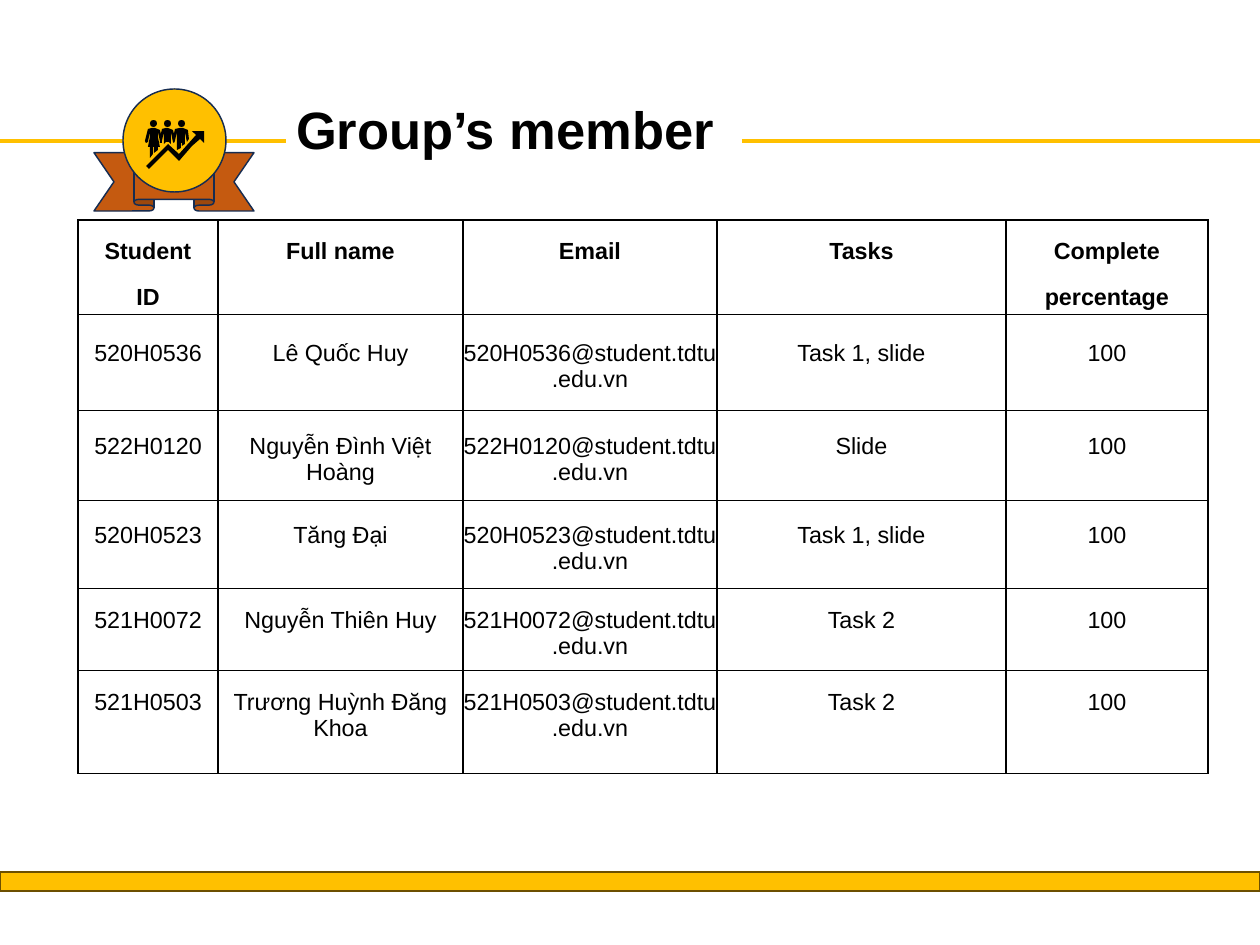
from lxml.etree import SubElement
from pptx import Presentation
from pptx.dml.color import RGBColor
from pptx.enum.shapes import MSO_CONNECTOR, MSO_SHAPE
from pptx.enum.text import PP_ALIGN
from pptx.oxml.ns import qn
from pptx.util import Pt

PX = 914400 // 105
WIDE, HIGH = 1260, 945
GOLD, RUST, NAVY, BROWN, BLACK = "FFC000", "C55A10", "162C51", "6C4F00", "000000"

TITLE = "Group’s member"
HEADS = ["Student\nID", "Full name", "Email", "Tasks", "Complete\npercentage"]
MEMBERS = [
    ("520H0536", "Lê Quốc Huy", "Task 1, slide"),
    ("522H0120", "Nguyễn Đình Việt Hoàng", "Slide"),
    ("520H0523", "Tăng Đại", "Task 1, slide"),
    ("521H0072", "Nguyễn Thiên Huy", "Task 2"),
    ("521H0503", "Trương Huỳnh Đăng Khoa", "Task 2"),
]
DOMAIN = "student.tdtu.edu.vn"
COLS = [140, 245, 254, 289, 202]
ROWS = [94, 96, 90, 88, 82, 103]
PADS = [19, 26, 23, 22, 19, 19]  # space above the text in each row

RULES = [(0, 286), (742, WIDE)]
RULE_Y = 141
PEOPLE = [
    (189, 139), (188, 130), (183, 128), (180, 128), (175, 129), (174, 134),
    (173, 130), (168, 128), (166, 128), (162, 129), (161, 134), (160, 130),
    (155, 128), (152, 128), (148, 129), (145, 141), (146, 143), (148, 142),
    (150, 132), (150, 137), (148, 147), (150, 147), (150, 158), (153, 154),
    (153, 147), (154, 147), (154, 153), (158, 150), (158, 147), (160, 147),
    (158, 137), (158, 132), (160, 141), (160, 143), (162, 143), (162, 141),
    (164, 132), (164, 144), (166, 142), (169, 142), (171, 144), (171, 132),
    (173, 142), (174, 143), (175, 141), (177, 132), (177, 150), (181, 148),
    (181, 143), (182, 143), (182, 146), (185, 144), (185, 132), (187, 142),
]
ARROW = [
    (204, 131), (192, 131), (196, 135), (179, 154), (168, 144), (146, 166),
    (149, 169), (168, 150), (179, 161), (192, 146), (200, 139), (204, 143),
]


def color(code):
    return RGBColor.from_string(code)


def paint(shape, fill, line=None):
    shape.shadow.inherit = False
    shape.fill.solid()
    shape.fill.fore_color.rgb = color(fill)
    if line:
        shape.line.color.rgb = color(line)
        shape.line.width = Pt(1)
    else:
        shape.line.fill.background()


def add(slide, kind, x, y, w, h, fill, line=None):
    shape = slide.shapes.add_shape(kind, x * PX, y * PX, w * PX, h * PX)
    paint(shape, fill, line)


def trace(slide, points, fill):
    """Draw a closed outline through the points."""
    pen = slide.shapes.build_freeform(*points[0], scale=PX)
    pen.add_line_segments(points[1:], close=True)
    paint(pen.convert_to_shape(), fill)


def rule(slide, left, right):
    line = slide.shapes.add_connector(
        MSO_CONNECTOR.STRAIGHT, left * PX, RULE_Y * PX, right * PX, RULE_Y * PX)
    line.line.color.rgb = color(GOLD)
    line.line.width = Pt(2.25)
    SubElement(line._element.spPr, qn("a:effectLst"))


def write(frame, text, size=16, bold=False, align=PP_ALIGN.CENTER, gap=0):
    """Fill a text frame, one paragraph a line, with a gap between them."""
    for i, words in enumerate(text.split("\n")):
        para = frame.add_paragraph() if i else frame.paragraphs[0]
        para.alignment = align
        para.space_before = Pt(gap if i else 0)
        run = para.add_run()
        run.text = words
        run.font.name = "Arial"
        run.font.size = Pt(size)
        run.font.bold = bold
        run.font.color.rgb = color(BLACK)


def inset(box, top=0):
    box.margin_left = box.margin_right = box.margin_bottom = 0
    box.margin_top = top * PX


def border(cell):
    props = cell._tc.get_or_add_tcPr()
    for side in ("lnL", "lnR", "lnT", "lnB"):
        line = SubElement(props, qn(f"a:{side}"), w=str(Pt(1)))
        fill = SubElement(line, qn("a:solidFill"))
        SubElement(fill, qn("a:srgbClr"), val=BLACK)


def roster(slide):
    rows = [HEADS] + [
        (code, name, f"{code}@{DOMAIN}", task, "100") for code, name, task in MEMBERS]
    table = slide.shapes.add_table(
        len(ROWS), len(COLS), 78 * PX, 220 * PX, sum(COLS) * PX, sum(ROWS) * PX).table
    table.first_row = table.horz_banding = False
    for col, width in zip(table.columns, COLS):
        col.width = width * PX
    for r, (row, high, pad) in enumerate(zip(rows, ROWS, PADS)):
        table.rows[r].height = high * PX
        for c, text in enumerate(row):
            cell = table.cell(r, c)
            inset(cell, pad)
            border(cell)
            cell.fill.background()
            write(cell.text_frame, text, bold=r == 0, gap=13.2)


def badge(slide):
    add(slide, MSO_SHAPE.UP_RIBBON, 94, 141, 160, 70, RUST, NAVY)
    for left, right in RULES:
        rule(slide, left, right)
    add(slide, MSO_SHAPE.OVAL, 123, 89, 103, 103, GOLD, NAVY)
    for i in range(3):
        add(slide, MSO_SHAPE.OVAL, 150 + 14 * i, 120, 7, 7, BLACK)
    trace(slide, PEOPLE, BLACK)
    trace(slide, ARROW, BLACK)


def main():
    deck = Presentation()
    deck.slide_width, deck.slide_height = WIDE * PX, HIGH * PX
    slide = deck.slides.add_slide(deck.slide_layouts[6])
    badge(slide)
    title = slide.shapes.add_textbox(296 * PX, 97 * PX, 440 * PX, 60 * PX).text_frame
    title.word_wrap = True
    inset(title)
    write(title, TITLE, size=36, bold=True, align=PP_ALIGN.LEFT)
    roster(slide)
    add(slide, MSO_SHAPE.RECTANGLE, 0, 872, WIDE, 19, GOLD, BROWN)
    deck.save("out.pptx")


if __name__ == "__main__":
    main()
